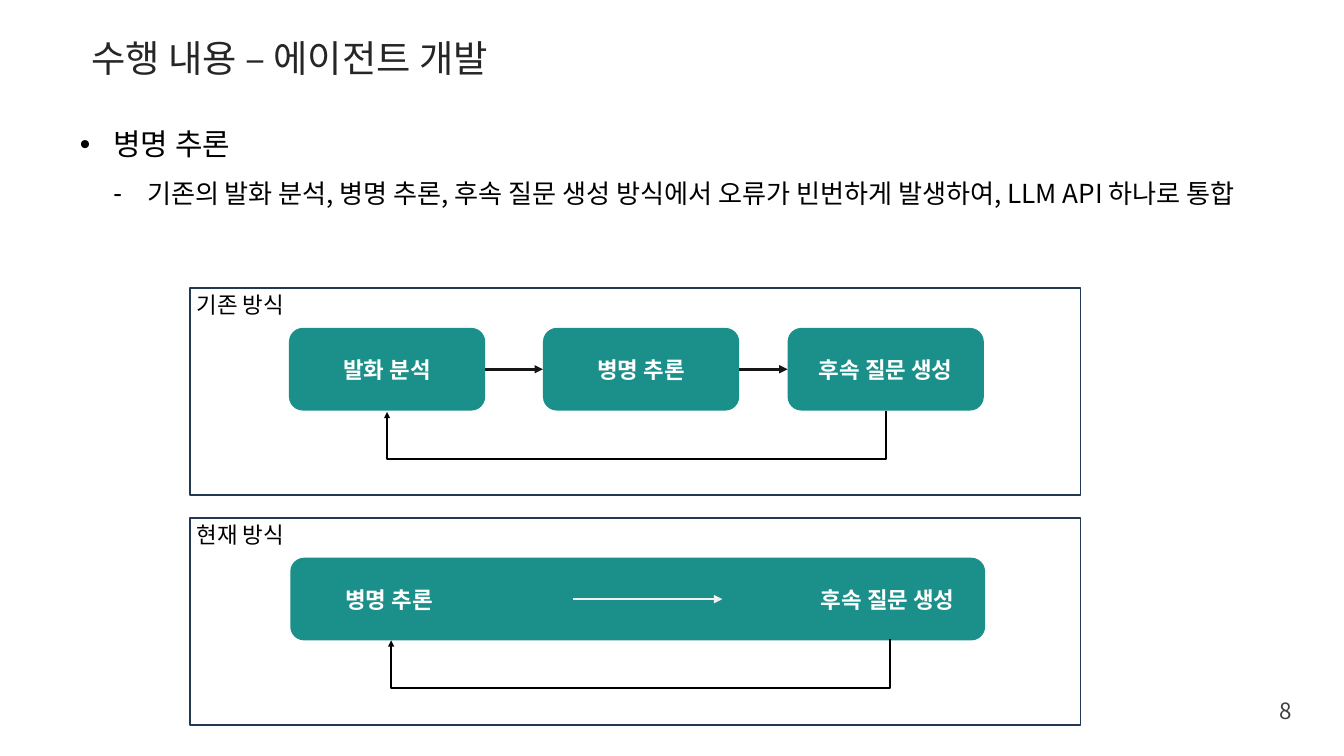
from lxml.etree import SubElement
from pptx import Presentation
from pptx.dml.color import RGBColor
from pptx.enum.shapes import MSO_CONNECTOR, MSO_SHAPE
from pptx.enum.text import MSO_ANCHOR, MSO_AUTO_SIZE, PP_ALIGN
from pptx.oxml.ns import qn
from pptx.util import Inches, Pt

# Content
TITLE = "수행 내용 – 에이전트 개발"
TOPIC = "병명 추론"
DETAIL = "기존의 발화 분석, 병명 추론, 후속 질문 생성 방식에서 오류가 빈번하게 발생하여, LLM API 하나로 통합"
OLD_LABEL, OLD_STEPS = "기존 방식", ["발화 분석", "병명 추론", "후속 질문 생성"]
NEW_LABEL, NEW_STEPS = "현재 방식", ["병명 추론", "후속 질문 생성"]
PAGE = "8"

THEME = {
    "font": "Noto Sans CJK KR",
    "title": 40, "topic": 32, "detail": 28, "body": 24,
    "ink": "000000", "title_ink": "262626", "page_ink": "404040",
    "white": "FFFFFF", "step": "1B8F8A", "frame": "233953",
    "arrow": "161616", "light_arrow": "F0F0F0",
}

# Grid, in inches
SLIDE_W, SLIDE_H = 20, 11.25
PANEL_X, PANEL_W, PANEL_H = 2.83, 13.25, 3.08
OLD_Y, NEW_Y = 4.29, 7.71
STEP_W, STEP_H, STEP_DROP = 2.92, 1.23, 0.59
OLD_X = [4.3, 8.08, 11.72]
NEW_X = [4.33, 11.75]
BAR_X, BAR_W = 4.32, 10.34
LOOP_DROP, LOOP_RISE = 0.72, 0.02

prs = Presentation()
prs.slide_width, prs.slide_height = Inches(SLIDE_W), Inches(SLIDE_H)
slide = prs.slides.add_slide(prs.slide_layouts[6])
shapes = slide.shapes


def color(key):
    return RGBColor.from_string(THEME[key])


def add_run(paragraph, text, size, ink, bold=False):
    run = paragraph.add_run()
    run.text = text
    run.font.name, run.font.size, run.font.bold = THEME["font"], Pt(THEME[size]), bold
    run.font.color.rgb = color(ink)
    SubElement(run._r.get_or_add_rPr(), qn("a:ea"), typeface=THEME["font"])


def add_text(box, text, size="body", ink="ink"):
    frame = shapes.add_textbox(*map(Inches, box)).text_frame
    frame.word_wrap = True
    add_run(frame.paragraphs[0], text, size, ink)
    return frame


def add_box(kind, box, fill=None, line=None, text=None):
    shape = shapes.add_shape(kind, *map(Inches, box))
    shape.shadow.inherit = False
    if fill:
        shape.fill.solid()
        shape.fill.fore_color.rgb = color(fill)
    else:
        shape.fill.background()
    if line:
        shape.line.color.rgb, shape.line.width = color(line), Pt(2)
    else:
        shape.line.fill.background()
    if text:
        shape.text_frame.vertical_anchor = MSO_ANCHOR.MIDDLE
        paragraph = shape.text_frame.paragraphs[0]
        paragraph.alignment = PP_ALIGN.CENTER
        add_run(paragraph, text, "body", "white", bold=True)


def add_arrow(start, end, ink, width=3, kind=MSO_CONNECTOR.STRAIGHT):
    arrow = shapes.add_connector(kind, *map(Inches, start + end))
    arrow.line.color.rgb, arrow.line.width = color(ink), Pt(width)
    SubElement(arrow.line._get_or_add_ln(), qn("a:tailEnd"), type="triangle")
    SubElement(arrow._element.spPr, qn("a:effectLst"))
    return arrow


def add_loop(from_x, to_x, y):
    """Return arrow below the steps: an elbow turned by a quarter."""
    mid_x, mid_y = (from_x + to_x) / 2, y + LOOP_RISE / 2
    half_w, half_h = LOOP_RISE / 2, (from_x - to_x) / 2
    loop = add_arrow((mid_x - half_w, mid_y - half_h), (mid_x + half_w, mid_y + half_h),
                     "ink", 2.25, MSO_CONNECTOR.ELBOW)
    props = loop._element.spPr
    props.find(qn("a:xfrm")).set("rot", "5400000")
    guides = props.find(qn("a:prstGeom")).find(qn("a:avLst"))
    bend = round(LOOP_DROP / LOOP_RISE * 100000)
    SubElement(guides, qn("a:gd"), name="adj1", fmla=f"val {bend}")


def add_panel(y, label):
    add_box(MSO_SHAPE.RECTANGLE, (PANEL_X, y, PANEL_W, PANEL_H), "white", "frame")
    frame = add_text((PANEL_X, y, 2.33, 0.5), label)
    frame.auto_size = MSO_AUTO_SIZE.SHAPE_TO_FIT_TEXT


def set_bullet(paragraph, mark, level):
    props = paragraph._p.get_or_add_pPr()
    props.set("marL", str(Inches(0.5 * (level + 1))))
    props.set("indent", str(Inches(-0.5)))
    paragraph.level, paragraph.line_spacing = level, 1.5
    SubElement(props, qn("a:buFont"), typeface="Arial")
    SubElement(props, qn("a:buChar"), char=mark)


# Title and bullets
title = add_text((1.36, 0.53, 14.72, 0.87), TITLE, "title", "title_ink")
title.margin_left = title.margin_right = title.margin_top = title.margin_bottom = 0
bullets = add_text((1.09, 1.56, 17.66, 6.51), TOPIC, "topic")
set_bullet(bullets.paragraphs[0], "•", 0)
detail = bullets.add_paragraph()
add_run(detail, DETAIL, "detail", "ink")
set_bullet(detail, "-", 1)

# Former method: three linked steps
add_panel(OLD_Y, OLD_LABEL)
step_y = OLD_Y + STEP_DROP
for x, step in zip(OLD_X, OLD_STEPS):
    add_box(MSO_SHAPE.ROUNDED_RECTANGLE, (x, step_y, STEP_W, STEP_H), "step", text=step)
for x, next_x in zip(OLD_X, OLD_X[1:]):
    add_arrow((x + STEP_W, step_y + STEP_H / 2), (next_x, step_y + STEP_H / 2), "arrow")
add_loop(OLD_X[-1] + STEP_W / 2, OLD_X[0] + STEP_W / 2, step_y + STEP_H)

# Current method: two steps in one bar
add_panel(NEW_Y, NEW_LABEL)
step_y = NEW_Y + STEP_DROP
add_box(MSO_SHAPE.ROUNDED_RECTANGLE, (BAR_X, step_y, BAR_W, STEP_H), "step")
for x, step in zip(NEW_X, NEW_STEPS):
    add_box(MSO_SHAPE.ROUNDED_RECTANGLE, (x, step_y, STEP_W, STEP_H), text=step)
add_arrow((8.52, step_y + STEP_H / 2), (10.75, step_y + STEP_H / 2), "light_arrow")
add_loop(13.25, 5.82, step_y + STEP_H - LOOP_RISE)

# Page number
page = add_text((17, 10.38, 2.33, 0.4), PAGE, "body", "page_ink")
page.vertical_anchor = MSO_ANCHOR.MIDDLE
page.paragraphs[0].alignment = PP_ALIGN.RIGHT

prs.save("out.pptx")
